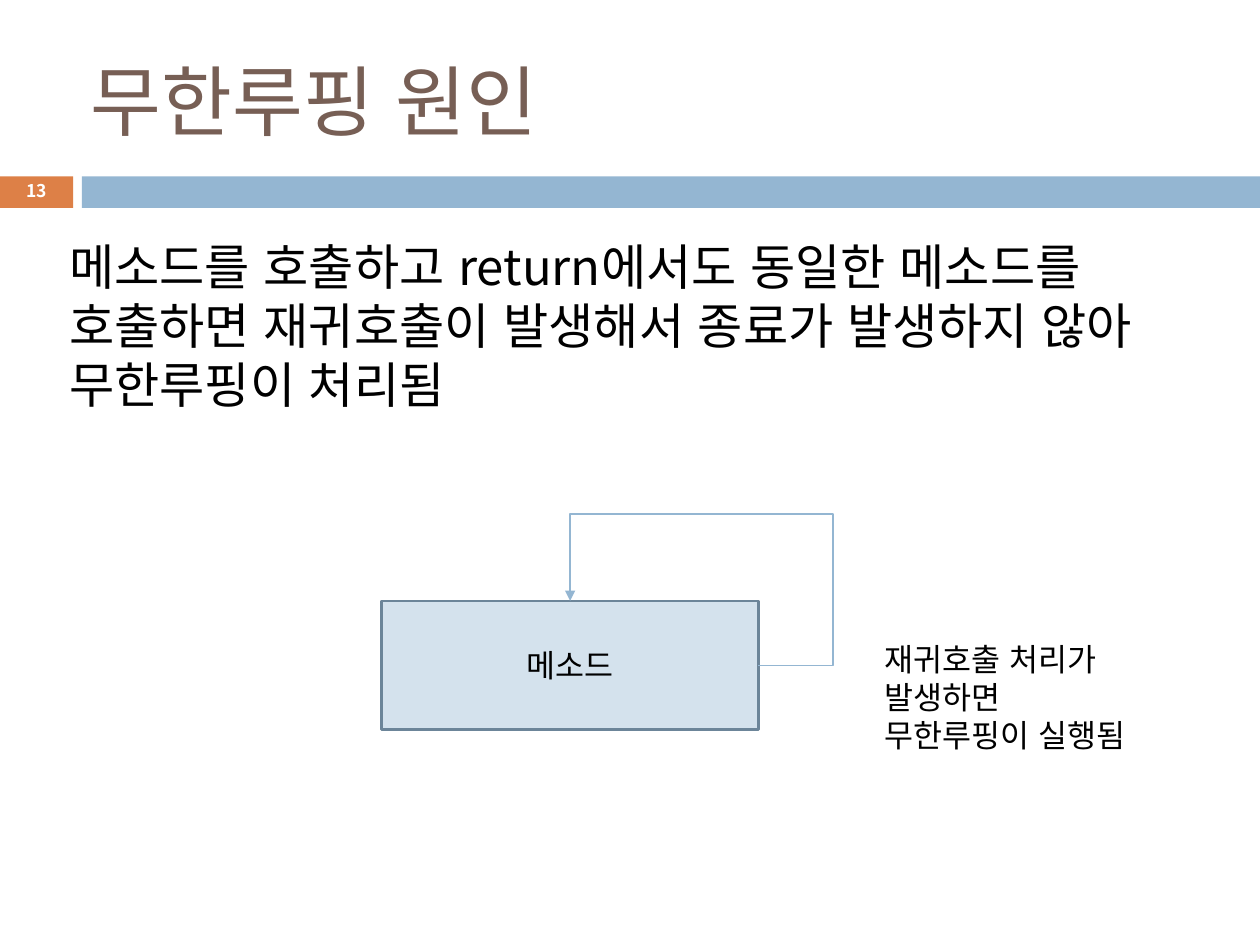
from dataclasses import dataclass
from pptx import Presentation, util as u
from pptx.dml.color import RGBColor
from pptx.enum import lang, shapes, text
from pptx.oxml.ns import qn
from lxml import etree


@dataclass(frozen=True)
class Theme:
    face: str = "Noto Sans CJK KR"
    title: str = "775F55"
    ink: str = "000000"
    white: str = "FFFFFF"
    accent: str = "DD8047"
    band: str = "94B6D2"
    pale: str = "D4E2ED"
    edge: str = "6C8599"
    head: float = 44
    body: float = 28.1
    label: float = 18
    small: float = 10


class Page:
    def __init__(self, deck, theme):
        self.theme = theme
        self.slide = deck.slides.add_slide(deck.slide_layouts[6])

    def box(self, place, fill, edge=None):
        rect = self.slide.shapes.add_shape(
            shapes.MSO_SHAPE.RECTANGLE, *map(u.Inches, place))
        rect.shadow.inherit = False
        rect.fill.solid()
        rect.fill.fore_color.rgb = RGBColor.from_string(fill)
        if edge:
            rect.line.color.rgb = RGBColor.from_string(edge)
            rect.line.width = u.Pt(1.5)
        else:
            rect.line.fill.background()

    def text(self, place, words, size, color, middle=False, center=False,
             bold=False, wrap=True, before=None, pitch=None):
        frame = self.slide.shapes.add_textbox(*map(u.Inches, place)).text_frame
        frame.word_wrap = wrap
        frame.margin_left = frame.margin_right = u.Inches(0.05)
        frame.margin_top = frame.margin_bottom = u.Inches(0.05)
        anchor = text.MSO_ANCHOR
        frame.vertical_anchor = anchor.MIDDLE if middle else anchor.TOP
        para = frame.paragraphs[0]
        para.text = words
        para.space_before = before
        para.line_spacing = pitch
        if center:
            para.alignment = text.PP_ALIGN.CENTER
        font = para.font
        font.size = u.Pt(size)
        font.bold = bold
        font.color.rgb = RGBColor.from_string(color)
        font.name = self.theme.face
        font.language_id = lang.MSO_LANGUAGE_ID.KOREAN
        props = para._p.pPr.find(qn("a:defRPr"))
        etree.SubElement(props, qn("a:ea")).set("typeface", self.theme.face)

    def arrow(self, points, color):
        start, *rest = [tuple(map(u.Inches, point)) for point in points]
        pen = self.slide.shapes.build_freeform(*start)
        pen.add_line_segments(rest, close=False)
        path = pen.convert_to_shape()
        path.shadow.inherit = False
        path.fill.background()
        path.line.color.rgb = RGBColor.from_string(color)
        path.line.width = u.Pt(0.79)
        line = path.line._get_or_add_ln()
        etree.SubElement(line, qn("a:tailEnd")).set("type", "triangle")


deck = Presentation()
deck.slide_width, deck.slide_height = u.Inches(10), u.Inches(7.5)
theme = Theme()
page = Page(deck, theme)

page.box((0, 1.4, 0.58, 0.25), theme.accent)
page.box((0.65, 1.4, 9.35, 0.25), theme.band)
page.text((0.67, 0.25, 8.92, 1.08), "무한루핑 원인", theme.head, theme.title,
          middle=True)
page.text((0.5, 1.83, 9, 1.61),
          "메소드를 호출하고 return에서도 동일한 메소드를 호출하면 "
          "재귀호출이 발생해서 종료가 발생하지 않아 무한루핑이 처리됨",
          theme.body, theme.ink, before=u.Pt(6))

left, top, width, height = method = (3.03, 4.77, 2.99, 1.02)
right, center, middle = left + width, left + width / 2, top + height / 2
page.box(method, theme.pale, theme.edge)
page.text((left, middle - 0.2, width, 0.4), "메소드", theme.label, theme.ink,
          middle=True, center=True)
bend, rise = 6.61, 4.08
page.arrow([(right, middle), (bend, middle), (bend, rise),
            (center, rise), (center, top)], theme.band)
page.text((6.97, 5.03, 2.13, 1.04),
          "재귀호출 처리가 발생하면 무한루핑이 실행됨", theme.label, theme.ink)
page.text((0.15, 1.39, 0.28, 0.27), "13", theme.small, theme.white,
          middle=True, center=True, bold=True, wrap=False, pitch=0.8)

deck.save("out.pptx")
